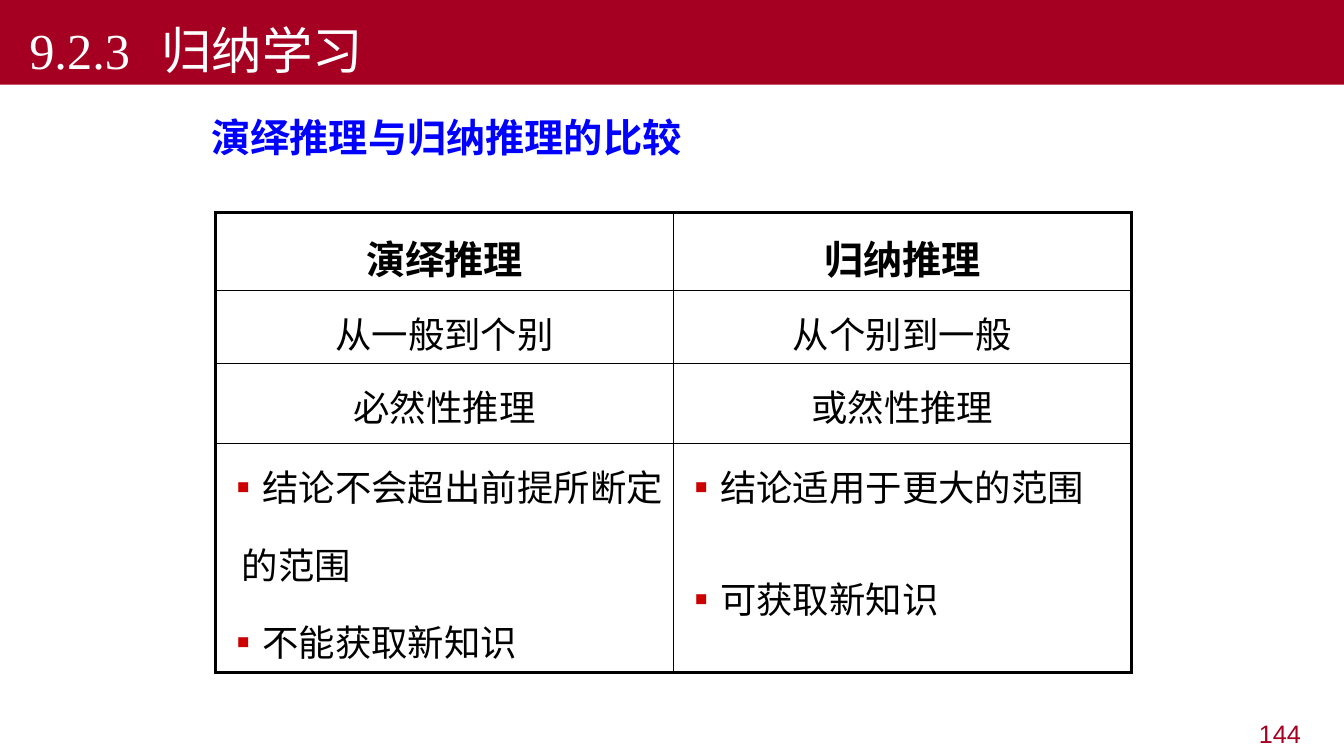
from lxml import etree
from pptx import Presentation
from pptx import util as u
from pptx.dml.color import RGBColor
from pptx.enum import text
from pptx.oxml.ns import qn

W, H = 13.33, 7.5
COLORS = {"crimson": "A50021", "white": "FFFFFF", "black": "000000",
          "blue": "0000FF", "bullet": "CC0000"}
CJK = "Noto Sans CJK SC"
LEFT, CENTER, RIGHT = (text.PP_ALIGN.LEFT, text.PP_ALIGN.CENTER,
                       text.PP_ALIGN.RIGHT)
HEADERS = ["演绎推理", "归纳推理"]
FEATURES = [["从一般到个别", "从个别到一般"], ["必然性推理", "或然性推理"]]
# Each conclusion: wording, has a bullet, space before in points
CONCLUSIONS = [
    [("结论不会超出前提所断定", True, 0), ("的范围", False, 10.4),
     ("不能获取新知识", True, 10.4)],
    [("结论适用于更大的范围", True, 0), ("可获取新知识", True, 34.8)],
]
ROW_HEIGHTS = [0.77, 0.73, 0.79, 2.27]


def color(name):
    return RGBColor.from_string(COLORS[name])


def style(p, size, ink, font="Arial", bold=False, align=LEFT):
    p.alignment = align
    for r in p.runs:
        r.font.size, r.font.bold = u.Pt(size), bold
        r.font.color.rgb = color(ink)
        r.font.name = font
        etree.SubElement(r.font._element, qn("a:ea"), typeface=CJK)


def add_title(slide, box):
    """Full-width heading band with the section number and name."""
    sp = slide.shapes.title
    sp.left, sp.top, sp.width, sp.height = [u.Inches(v) for v in box]
    sp.fill.solid()
    sp.fill.fore_color.rgb = color("crimson")
    tf = sp.text_frame
    tf.auto_size = text.MSO_AUTO_SIZE.NONE
    tf.vertical_anchor = text.MSO_ANCHOR.BOTTOM
    p = tf.paragraphs[0]
    p.text = "9.2.3\t归纳学习"
    pPr = p._p.get_or_add_pPr()
    pPr.set("marL", "0")
    pPr.set("indent", str(u.Inches(0.19)))
    tabs = etree.SubElement(pPr, qn("a:tabLst"))
    etree.SubElement(tabs, qn("a:tab"), pos=str(u.Inches(1.54)), algn="l")
    style(p, 36, "white", "Times New Roman")


def add_label(slide, box, words, *look, **options):
    tf = slide.shapes.add_textbox(*[u.Inches(v) for v in box]).text_frame
    tf.word_wrap = True
    tf.text = words
    style(tf.paragraphs[0], *look, **options)


def set_borders(cell, widths):
    tcPr = cell._tc.get_or_add_tcPr()
    for i, (side, width) in enumerate(widths.items()):
        line = etree.Element(qn(f"a:ln{side}"), w=str(u.Pt(width)))
        fill = etree.SubElement(line, qn("a:solidFill"))
        etree.SubElement(fill, qn("a:srgbClr"), val=COLORS["black"])
        tcPr.insert(i, line)


def indent_conclusion(p, bullet):
    pPr = p._p.get_or_add_pPr()
    hang = u.Inches(0.2 if bullet else 0.16)
    pPr.set("marL", str(hang))
    pPr.set("indent", str(-hang if bullet else 0))
    if bullet:
        ink = etree.SubElement(pPr, qn("a:buClr"))
        etree.SubElement(ink, qn("a:srgbClr"), val=COLORS["bullet"])
        etree.SubElement(pPr, qn("a:buFont"), typeface=CJK)
        etree.SubElement(pPr, qn("a:buChar"), char="▪")


def fill_conclusions(tf, items):
    for i, (words, bullet, space) in enumerate(items):
        p = tf.add_paragraph() if i else tf.paragraphs[0]
        p.text = words
        p.line_spacing = 1.2
        if space:
            p.space_before = u.Pt(space)
        indent_conclusion(p, bullet)
        style(p, 26, "black", CJK)


def add_comparison(slide, box):
    """Two-column table with a thick frame and thin inner rules."""
    rows, cols = len(ROW_HEIGHTS), len(HEADERS)
    table = slide.shapes.add_table(
        rows, cols, *[u.Inches(v) for v in box]).table
    table.first_row = table.horz_banding = False
    for row, height in zip(table.rows, ROW_HEIGHTS):
        row.height = u.Inches(height)
    for r, entries in enumerate([HEADERS, *FEATURES, CONCLUSIONS]):
        for c, entry in enumerate(entries):
            cell = table.cell(r, c)
            cell.fill.solid()
            cell.fill.fore_color.rgb = color("white")
            edges = {"L": c == 0, "R": c == cols - 1,
                     "T": r == 0, "B": r == rows - 1}
            set_borders(cell, {side: 2.25 if outer else 1
                               for side, outer in edges.items()})
            if r == rows - 1:
                fill_conclusions(cell.text_frame, entry)
                continue
            p = cell.text_frame.paragraphs[0]
            p.text = entry
            p.line_spacing = 1.2
            style(p, 26 if r else 28, "black", bold=r == 0, align=CENTER)


def main():
    prs = Presentation()
    prs.slide_width, prs.slide_height = u.Inches(W), u.Inches(H)
    slide = prs.slides.add_slide(prs.slide_layouts[5])
    add_title(slide, (0, 0, W, 0.84))
    add_label(slide, (2, 1.08, 5.76, 0.57), "演绎推理与归纳推理的比较",
              28, "blue", CJK, bold=True)
    add_comparison(slide, (2.14, 2.11, 9.08, sum(ROW_HEIGHTS)))
    add_label(slide, (10.11, 7.08, 2.89, 0.39), "144",
              18, "crimson", align=RIGHT)
    prs.save("out.pptx")


if __name__ == "__main__":
    main()
